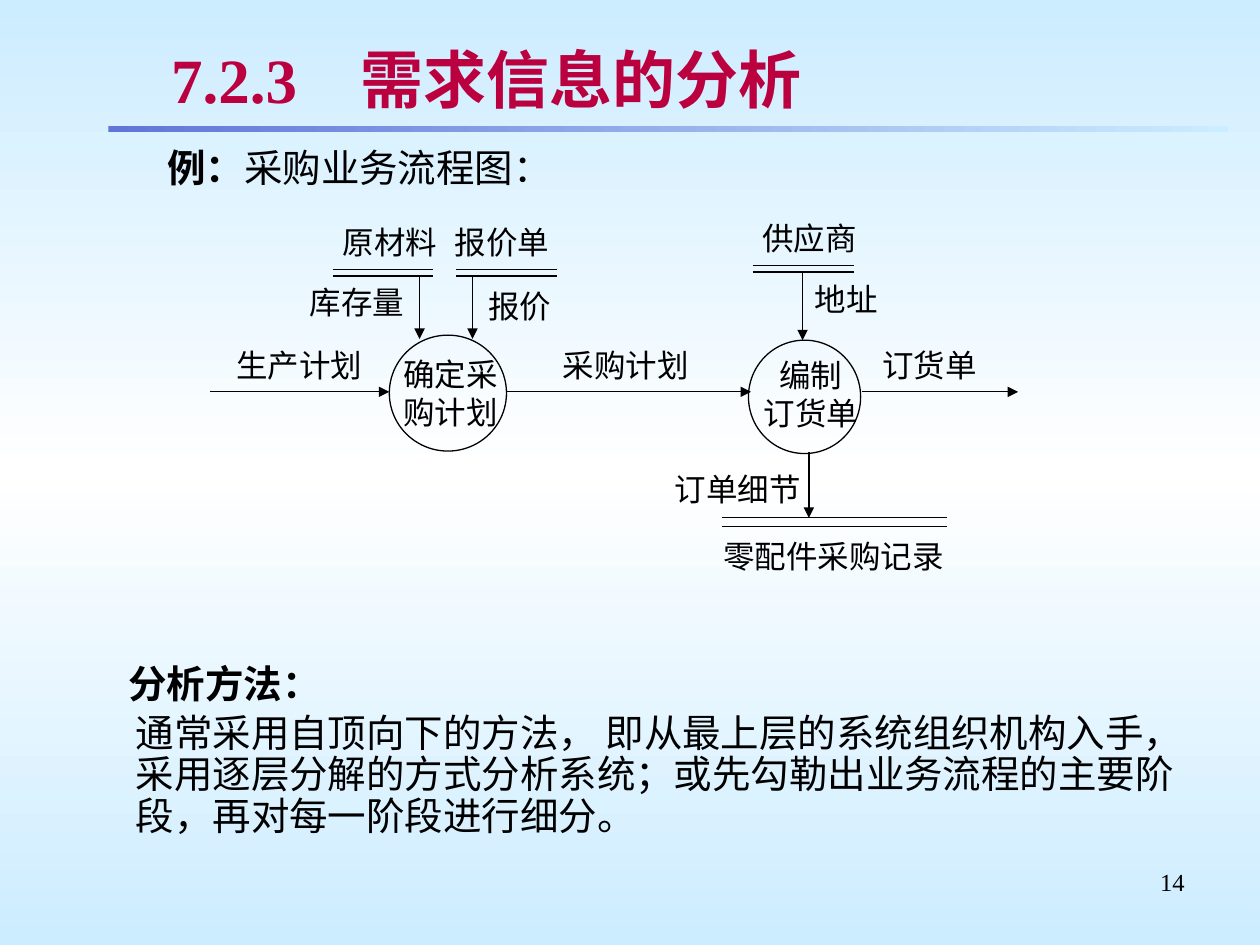
from lxml import etree
from pptx import Presentation
from pptx.dml.color import RGBColor
from pptx.enum.shapes import MSO_CONNECTOR, MSO_SHAPE
from pptx.enum.text import MSO_ANCHOR, PP_ALIGN
from pptx.oxml.ns import qn
from pptx.util import Inches, Pt

LINE = MSO_CONNECTOR.STRAIGHT
RECT, OVAL = MSO_SHAPE.RECTANGLE, MSO_SHAPE.OVAL
LEFT, CENTER, RIGHT = PP_ALIGN.LEFT, PP_ALIGN.CENTER, PP_ALIGN.RIGHT
TOP, MIDDLE = MSO_ANCHOR.TOP, MSO_ANCHOR.MIDDLE


def rgb(value):
    return RGBColor.from_string(value)


def sub(parent, tag, **attrs):
    return etree.SubElement(parent, qn(tag), attrs)


class Deck:
    font = "Times New Roman"
    ink = "000000"
    red = "BA003E"
    blue = "5F76D7"
    sky = "CCECFF"
    white = "FFFFFF"
    thin = Pt(0.75)

    def __init__(self):
        self.prs = Presentation()
        self.prs.slide_width, self.prs.slide_height = Inches(10), Inches(7.5)
        self.s = self.prs.slides.add_slide(self.prs.slide_layouts[6])

    def gradient(self, fill, colors, angle):
        fill.gradient()
        fill.gradient_angle = angle
        stops = fill._fill._gradFill.find(qn("a:gsLst"))
        for stop in list(stops):
            stops.remove(stop)
        for i, color in enumerate(colors):
            gs = sub(stops, "a:gs", pos=str(100000 * i // (len(colors) - 1)))
            sub(gs, "a:srgbClr", val=color)

    def background(self):
        self.gradient(self.s.background.fill, [self.sky, self.white, self.sky], 90)

    def bar(self, x, y, w, h):
        sp = self.s.shapes.add_shape(RECT, Inches(x), Inches(y), Inches(w), Inches(h))
        sp.shadow.inherit = False
        sp.line.fill.background()
        self.gradient(sp.fill, [self.blue, self.sky], 0)

    def circle(self, x, y, w, h):
        sp = self.s.shapes.add_shape(OVAL, Inches(x), Inches(y), Inches(w), Inches(h))
        sp.shadow.inherit = False
        sp.fill.background()
        sp.line.color.rgb = rgb(self.ink)
        sp.line.width = self.thin

    def line(self, x1, y1, x2, y2, arrow=False):
        c = self.s.shapes.add_connector(LINE, Inches(x1), Inches(y1), Inches(x2), Inches(y2))
        c.line.color.rgb = rgb(self.ink)
        c.line.width = self.thin
        if arrow:
            sub(c.line._get_or_add_ln(), "a:tailEnd", type="triangle")
        sub(c._element.spPr, "a:effectLst")

    def store(self, x, y, w, gap=0.05):
        for top in (y, y + gap):
            self.line(x, top, x + w, top)

    def box(self, x, y, w, h, anchor=TOP):
        tf = self.s.shapes.add_textbox(Inches(x), Inches(y), Inches(w), Inches(h)).text_frame
        tf.word_wrap = True
        tf.vertical_anchor = anchor
        return tf

    def paragraph(self, tf, runs, size, align=LEFT, indent=0, color=ink, tab=None):
        p = tf.paragraphs[0]
        if p.runs:
            p = tf.add_paragraph()
        p.alignment = align
        pPr = p._p.get_or_add_pPr()
        pPr.set("marL", str(Inches(indent)))
        pPr.set("indent", "0")
        if tab:
            sub(sub(pPr, "a:tabLst"), "a:tab", pos=str(Inches(tab)), algn="l")
        p.font.name = self.font
        p.font.size = Pt(size)
        p.font.color.rgb = rgb(color)
        for text, bold in runs:
            r = p.add_run()
            r.text = text
            r.font.bold = bold
        return p

    def label(self, x, y, w, h, *lines, align=CENTER, size=18):
        tf = self.box(x, y, w, h)
        for text in lines:
            self.paragraph(tf, [(text, False)], size, align)

    def title(self, x, y, w, h, text, tab):
        tf = self.box(x, y, w, h, MIDDLE)
        p = self.paragraph(tf, [(text, True)], 36, color=self.red, tab=tab)
        for r in p.runs:
            effects = sub(r._r.get_or_add_rPr(), "a:effectLst")
            shadow = sub(effects, "a:outerShdw", dist="25400", dir="2700000")
            sub(shadow, "a:srgbClr", val="C0C0C0")

    def body(self, x, y, w, h, paragraphs, spacing=1.0):
        tf = self.box(x, y, w, h)
        for i, (runs, indent) in enumerate(paragraphs):
            p = self.paragraph(tf, runs, 22, indent=indent)
            p.line_spacing = spacing
            if i:
                p.space_before = Pt(4.1)


def main():
    deck = Deck()
    deck.background()
    deck.bar(0.86, 1, 8.89, 0.05)
    deck.title(1.26, 0.29, 8.24, 0.67, "7.2.3\t需求信息的分析", 1.38)
    deck.body(0.42, 1.09, 9.25, 0.42,
              [([("例：", True), ("采购业务流程图：", False)], 0.81)])

    for x, y, w, h in [(3.09, 2.66, 0.93, 0.92), (5.94, 2.7, 0.89, 0.9)]:
        deck.circle(x, y, w, h)

    for x, y, w, gap in [(2.64, 2.14, 0.8, 0.05), (3.62, 2.14, 0.8, 0.05),
                         (5.98, 2.11, 0.8, 0.05), (5.73, 4.11, 1.79, 0.07)]:
        deck.store(x, y, w, gap)

    flow_y = 3.11
    for x1, x2 in [(1.67, 3.09), (4.02, 5.96), (6.84, 8.08)]:
        deck.line(x1, flow_y, x2, flow_y, arrow=True)
    for x, y1, y2 in [(3.33, 2.19, 2.69), (3.75, 2.19, 2.69),
                      (6.37, 2.17, 2.7), (6.42, 3.59, 4.11)]:
        deck.line(x, y1, x, y2, arrow=True)

    for x, y, w, text in [
        (2.56, 1.72, 1.07, "原材料"),
        (3.45, 1.72, 1.07, "报价单"),
        (5.89, 1.69, 1.07, "供应商"),
        (2.34, 2.2, 0.99, "库存量"),
        (3.73, 2.23, 0.79, "报价"),
        (6.32, 2.17, 0.79, "地址"),
        (1.75, 2.7, 1.25, "生产计划"),
        (4.34, 2.7, 1.25, "采购计划"),
        (6.84, 2.7, 1.07, "订货单"),
        (5.23, 3.68, 1.25, "订单细节"),
        (5.62, 4.21, 1.99, "零配件采购记录"),
    ]:
        deck.label(x, y, w, 0.4, text)
    deck.label(3.04, 2.77, 1.07, 0.66, "确定采购计划")
    deck.label(5.87, 2.78, 1.13, 0.6, "编制", "订货单")

    deck.body(0.42, 5.23, 9.25, 1.85, [
        ([("分析方法：", True)], 0.5),
        ([("通常采用自顶向下的方法， 即从最上层的系统组织机构入手，"
           "采用逐层分解的方式分析系统；或先勾勒出业务流程的主要阶段，"
           "再对每一阶段进行细分。", False)], 0.56),
    ], 0.9)
    deck.label(7.17, 6.83, 2.33, 0.52, "14", align=RIGHT, size=14)
    deck.prs.save("out.pptx")


if __name__ == "__main__":
    main()
